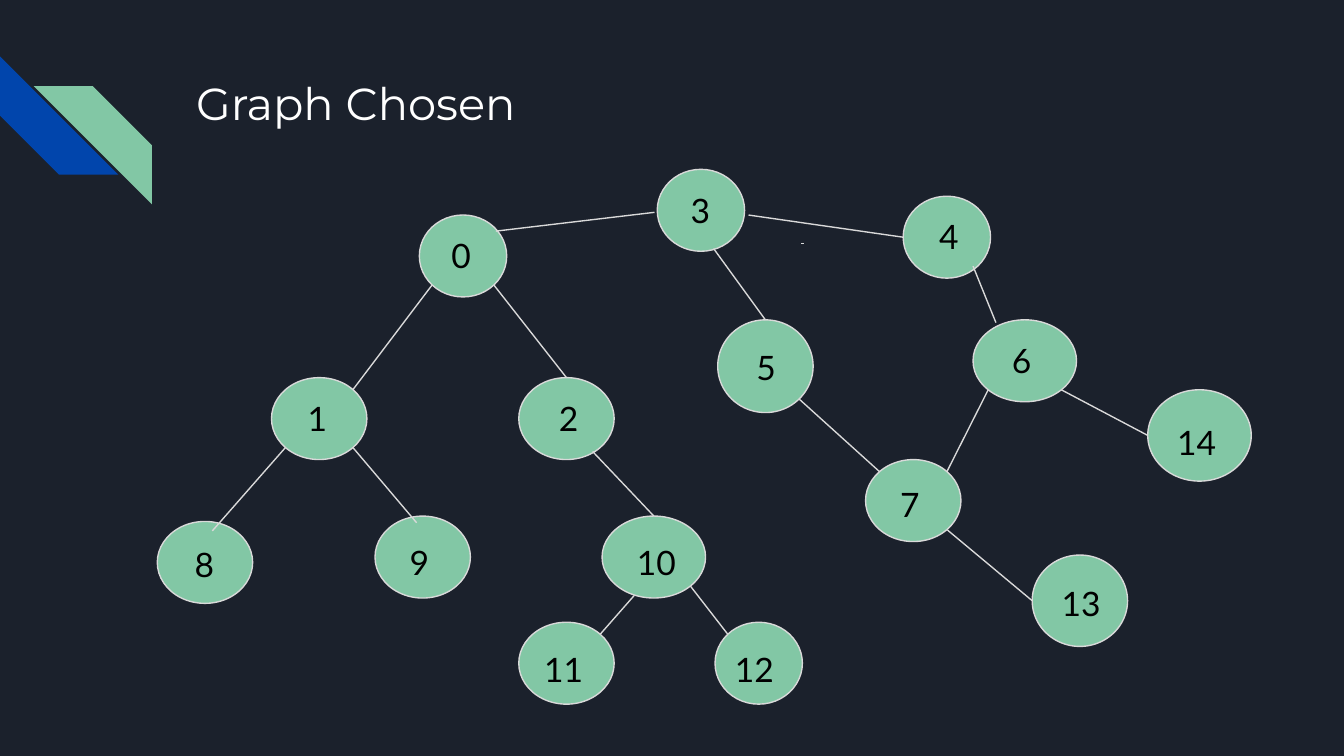
from dataclasses import dataclass
from typing import Tuple, Union

from lxml import etree
from pptx import Presentation
from pptx import util as u
from pptx.dml.color import RGBColor
from pptx.enum import shapes, text
from pptx.oxml.ns import qn

COLORS = {"back": "1B212C", "blue": "0145AC", "green": "82C7A5",
          "line": "D9D9D9", "title": "FFFFFF", "label": "000000"}

prs = Presentation()
prs.slide_width, prs.slide_height = u.Inches(10), u.Inches(5.625)

# Grid of 100 columns by 56.25 rows with square cells
COL, ROW = prs.slide_width / 100, prs.slide_height / 56.25
Point = Tuple[float, float]

# Directions from a node's centre to its rim, in half widths and heights
DIAG = 0.707
SITES = {"top": (0, -1), "left": (-1, 0),
         "nw": (-DIAG, -DIAG), "ne": (DIAG, -DIAG),
         "sw": (-DIAG, DIAG), "se": (DIAG, DIAG)}


@dataclass
class Node:
    name: str
    col: float
    row: float
    width: float
    height: float
    label_col: float
    label_row: float
    label_width: float

    def site(self, name: str) -> Point:
        dx, dy = SITES[name]
        return (self.col + self.width / 2 * (1 + dx),
                self.row + self.height / 2 * (1 + dy))


@dataclass
class Edge:
    """Each end is a site of its node or a free grid point."""
    start: str
    start_at: Union[str, Point]
    end: str
    end_at: Union[str, Point]


NODES = [
    Node("0", 31.2, 16, 6.5, 6.1, 32.6, 16.5, 3.8),
    Node("3", 48.9, 12.6, 6.5, 6.1, 50.4, 13.1, 4.6),
    Node("4", 67.2, 14.6, 6.5, 6.1, 68.9, 15.1, 4.6),
    Node("1", 20.2, 28.1, 7.1, 6.1, 21.9, 28.6, 3.8),
    Node("2", 38.6, 28.1, 7.1, 6.1, 40.6, 28.6, 3.1),
    Node("5", 53.4, 23.8, 7.1, 6.9, 55.3, 24.8, 5.5),
    Node("6", 72.4, 23.8, 7.7, 6.1, 74.3, 24.3, 3.8),
    Node("8", 11.7, 38.8, 7.1, 6.1, 13.5, 39.5, 4.6),
    Node("9", 27.9, 38.4, 7.1, 6.1, 29.5, 39.3, 3.8),
    Node("10", 44.8, 38.4, 7.7, 6.1, 46.4, 39.3, 6.5),
    Node("11", 38.6, 46.3, 7.1, 6.1, 39.5, 47.3, 5.8),
    Node("12", 53.2, 46.3, 6.5, 6.1, 53.7, 47.3, 5.5),
    Node("7", 64.4, 34.2, 7.1, 6.1, 66, 35, 4.7),
    Node("13", 76.8, 41.3, 7.1, 6.8, 78, 42.4, 7.1),
    Node("14", 85.4, 29, 7.7, 6.8, 86.6, 30.4, 6.9),
]
BY_NAME = {n.name: n for n in NODES}

EDGES = [
    Edge("0", "sw", "1", "ne"),
    Edge("0", "se", "2", "top"),
    Edge("1", "sw", "8", (15.8, 39.5)),
    Edge("1", "se", "9", (31, 38.9)),
    Edge("2", (44.1, 33.6), "10", "top"),
    Edge("10", (47.2, 44.3), "11", "ne"),
    Edge("10", "se", "12", "nw"),
    Edge("0", (36.9, 17.2), "3", (48.7, 15.8)),
    Edge("3", (55.7, 16), "4", "left"),
    Edge("3", (53.1, 18.5), "5", "top"),
    Edge("4", (72.4, 19.8), "6", (74.1, 24)),
    Edge("6", "sw", "7", "ne"),
    Edge("6", "se", "14", "left"),
    Edge("5", "se", "7", "nw"),
    Edge("7", "se", "13", "left"),
]


def rgb(name: str) -> RGBColor:
    return RGBColor.from_string(COLORS[name])


def box(col: float, row: float, width: float, height: float) -> tuple:
    return tuple(round(v) for v in
                 (col * COL, row * ROW, width * COL, height * ROW))


def style_run(p, font: str, size: float, color: str) -> None:
    r = p.runs[0]
    r.font.name, r.font.size = font, u.Pt(size)
    r.font.color.rgb = rgb(color)


def add_filled(kind, place: tuple, color: str):
    sp = s.shapes.add_shape(kind, *place)
    sp.shadow.inherit = False
    sp.fill.solid()
    sp.fill.fore_color.rgb = rgb(color)
    return sp


def add_stripe(col: float, row: float, color: str):
    sp = add_filled(shapes.MSO_SHAPE.DIAGONAL_STRIPE,
                    box(col, row, 8.8, 8.8), color)
    sp.adjustments[0] = 0.5
    sp.line.fill.background()
    return sp


def add_node(n: Node):
    sp = add_filled(shapes.MSO_SHAPE.OVAL,
                    box(n.col, n.row, n.width, n.height), "green")
    sp.line.color.rgb = rgb("line")
    sp.line.width = u.Pt(0.75)
    return sp


def add_line(start: Point, end: Point):
    c = s.shapes.add_connector(shapes.MSO_CONNECTOR.STRAIGHT,
                               *box(*start, *end))
    c.line.color.rgb = rgb("line")
    c.line.width = u.Pt(0.75)
    etree.SubElement(c._element.spPr, qn("a:effectLst"))
    return c


def edge_point(name: str, at: Union[str, Point]) -> Point:
    return BY_NAME[name].site(at) if isinstance(at, str) else at


def add_edge(e: Edge) -> None:
    c = add_line(edge_point(e.start, e.start_at), edge_point(e.end, e.end_at))
    if e.end_at == "top":
        c.end_connect(ovals[e.end], 0)


def set_text(sp, words: str, font: str, size: float, color: str) -> None:
    tf = sp.text_frame
    tf.text = words
    tf.word_wrap = True
    tf.vertical_anchor = text.MSO_ANCHOR.TOP
    tf.margin_left = tf.margin_right = u.Inches(0.1)
    tf.margin_top = tf.margin_bottom = u.Inches(0.1)
    tf.paragraphs[0].alignment = text.PP_ALIGN.LEFT
    style_run(tf.paragraphs[0], font, size, color)


def add_label(n: Node) -> None:
    sp = s.shapes.add_textbox(*box(n.label_col, n.label_row,
                                   n.label_width, 5))
    set_text(sp, n.name, "Lato", 18, "label")
    sp.text_frame.auto_size = text.MSO_AUTO_SIZE.SHAPE_TO_FIT_TEXT


# Slide and background
s = prs.slides.add_slide(prs.slide_layouts[5])
s.background.fill.solid()
s.background.fill.fore_color.rgb = rgb("back")

# Corner stripes
add_stripe(0, 4.2, "blue").rotation = 270
add_stripe(2.5, 6.4, "green")._element.spPr.find(qn("a:xfrm")).set("flipH", "1")

# Title
title = s.shapes.title
title.left, title.top, title.width, title.height = box(13.6, 4.6, 77, 6.8)
set_text(title, "Graph Chosen", "Montserrat", 24, "title")
title.text_frame.auto_size = text.MSO_AUTO_SIZE.NONE

# Graph: nodes, edges, the small stray dash, then labels on top
ovals = {n.name: add_node(n) for n in NODES}
for edge in EDGES:
    add_edge(edge)
add_line((59.8, 18.1), (59.6, 18.1))
for node in NODES:
    add_label(node)

prs.save("out.pptx")
